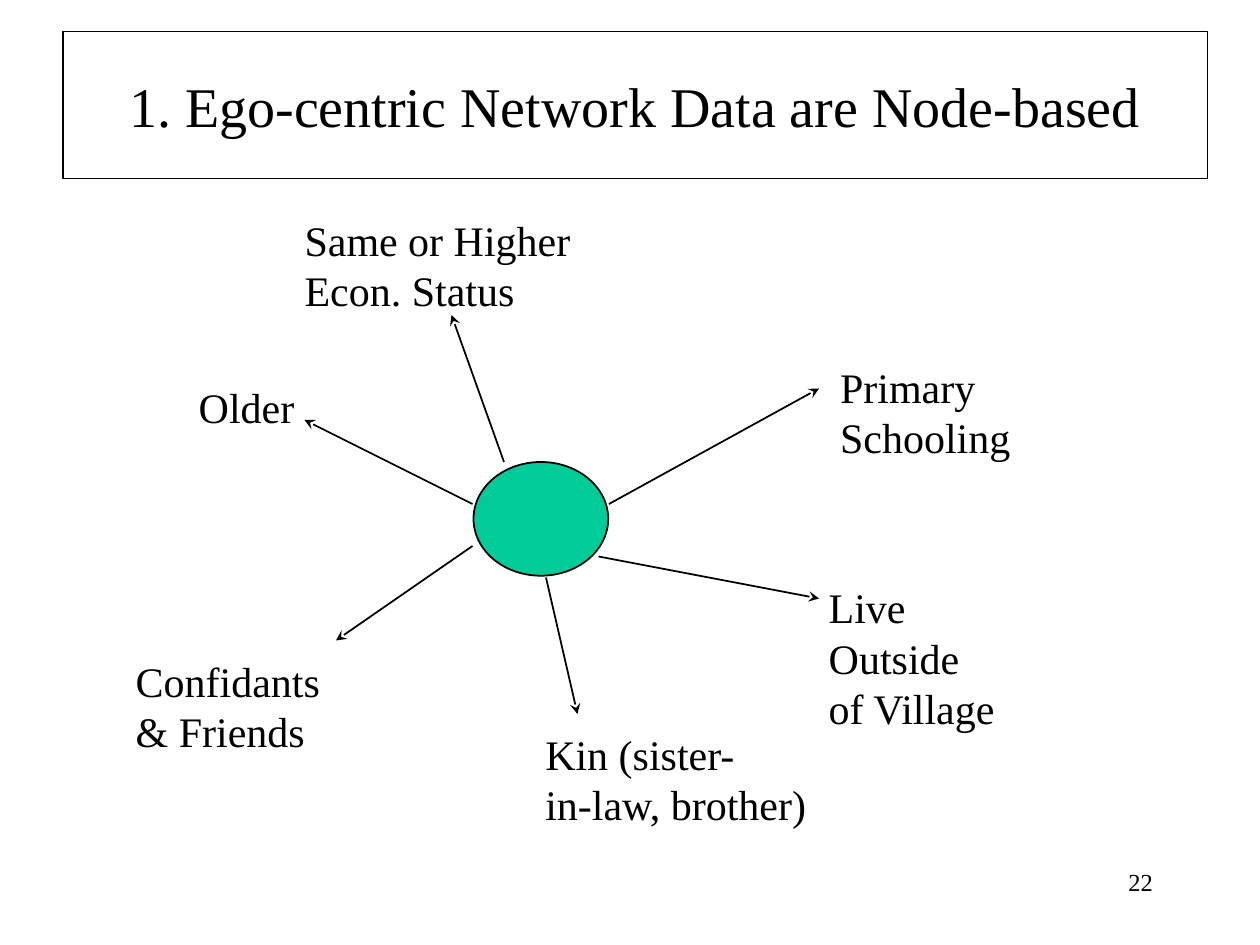
from dataclasses import dataclass

from lxml import etree
from pptx import Presentation
from pptx.dml.color import RGBColor
from pptx.enum.shapes import MSO_CONNECTOR, MSO_SHAPE
from pptx.enum.text import MSO_ANCHOR, MSO_AUTO_SIZE, PP_ALIGN
from pptx.oxml.ns import qn
from pptx.util import Pt

LEFT, CENTER, RIGHT = PP_ALIGN.LEFT, PP_ALIGN.CENTER, PP_ALIGN.RIGHT
TOP, MIDDLE = MSO_ANCHOR.TOP, MSO_ANCHOR.MIDDLE
NO_AUTOFIT = MSO_AUTO_SIZE.NONE
STRAIGHT = MSO_CONNECTOR.STRAIGHT
OVAL = MSO_SHAPE.OVAL
TITLE_ONLY = 5


@dataclass(frozen=True)
class Theme:
    font: str = "Times New Roman"
    ink: RGBColor = RGBColor(0, 0, 0)
    node: RGBColor = RGBColor(0x00, 0xCC, 0x99)
    title: int = 32
    label: int = 24
    number: int = 14
    frame: float = 0.75
    line: float = 1


THEME = Theme()
EGO = (204.6, 150, 77, 65)
TIES = [
    ("Primary Schooling", (407, 89, 119, 65), True, (282, 174), (402, 108)),
    ("Same or Higher\nEcon. Status", (101, 5, 166, 65), False, (222, 150), (192, 66)),
    ("Older", (40.5, 100.5, 69, 36), False, (204, 174), (108, 126)),
    ("Confidants\n& Friends", (4.5, 257, 119.5, 65), False, (204, 198), (126, 252)),
    ("Kin (sister-\nin-law, brother)", (238.5, 298.5, 165, 65), False, (246, 216), (264, 294)),
    ("Live Outside\nof Village", (400.5, 215, 119, 94), True, (276, 204), (402, 228)),
]


def set_attrs(obj, values):
    for name, value in values.items():
        setattr(obj, name, value)


def set_line(sp, width):
    sp.line.color.rgb = THEME.ink
    sp.line.width = Pt(width)


def write(tf, text, size, align=LEFT, anchor=TOP, wrap=True):
    set_attrs(tf, {
        "text": text, "word_wrap": wrap, "auto_size": NO_AUTOFIT, "vertical_anchor": anchor,
        "margin_left": Pt(7.2), "margin_right": Pt(7.2),
        "margin_top": Pt(3.6), "margin_bottom": Pt(3.6),
    })
    for p in tf.paragraphs:
        set_attrs(p, {"alignment": align, "line_spacing": 1, "space_before": Pt(0)})
        for r in p.runs:
            set_attrs(r.font, {"name": THEME.font, "size": Pt(size)})
            r.font.color.rgb = THEME.ink


def add_arrow(slide, start, end):
    sp = slide.shapes.add_connector(STRAIGHT, *map(Pt, start + end))
    set_line(sp, THEME.line)
    ln = sp.line._get_or_add_ln()
    etree.SubElement(ln, qn("a:tailEnd"), type="stealth")
    etree.SubElement(sp._element.spPr, qn("a:effectLst"))


def add_title(slide, box, text):
    sp = slide.shapes.title
    set_attrs(sp, dict(zip(("left", "top", "width", "height"), map(Pt, box))))
    set_line(sp, THEME.frame)
    write(sp.text_frame, text, THEME.title, CENTER, MIDDLE)


def add_network(slide, box):
    x, y = box[:2]

    def shift(place):
        return (x + place[0], y + place[1]) + place[2:]

    ego = slide.shapes.add_shape(OVAL, *map(Pt, shift(EGO)))
    ego.shadow.inherit = False
    ego.fill.solid()
    ego.fill.fore_color.rgb = THEME.node
    set_line(ego, THEME.line)
    for text, place, wrap, start, end in TIES:
        add_arrow(slide, shift(start), shift(end))
        label = slide.shapes.add_textbox(*map(Pt, shift(place)))
        write(label.text_frame, text, THEME.label, wrap=wrap)


def add_number(slide, box, number):
    sp = slide.shapes.add_textbox(*map(Pt, box))
    write(sp.text_frame, str(number), THEME.number, RIGHT)


def main():
    prs = Presentation()
    set_attrs(prs, {"slide_width": Pt(720), "slide_height": Pt(540)})
    slide = prs.slides.add_slide(prs.slide_layouts[TITLE_ONLY])
    add_title(slide, (36, 18, 654, 84), "1. Ego-centric Network Data are Node-based")
    add_network(slide, (66, 114, 530, 366))
    add_number(slide, (516, 492, 150, 36), 22)
    prs.save("out.pptx")


if __name__ == "__main__":
    main()
